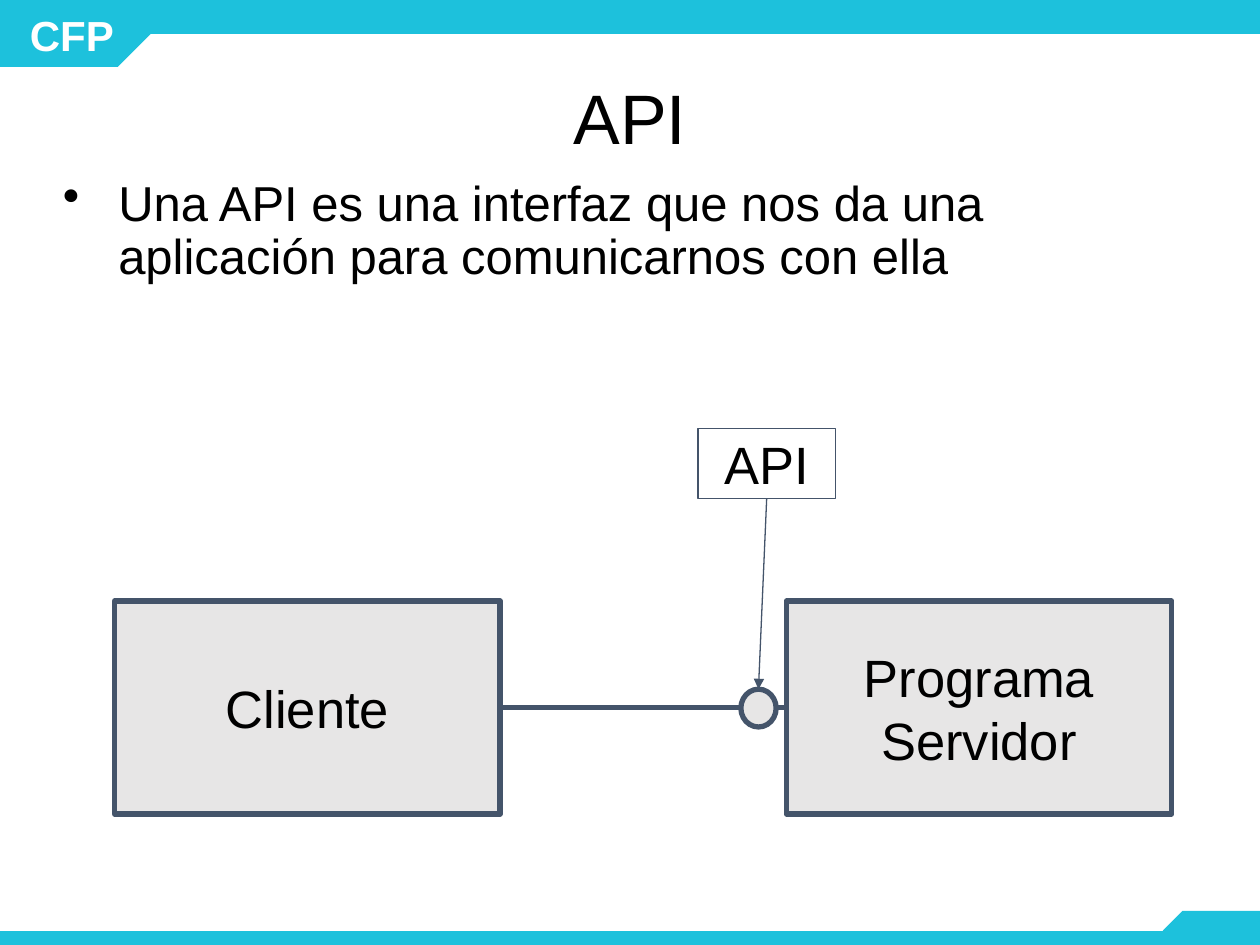
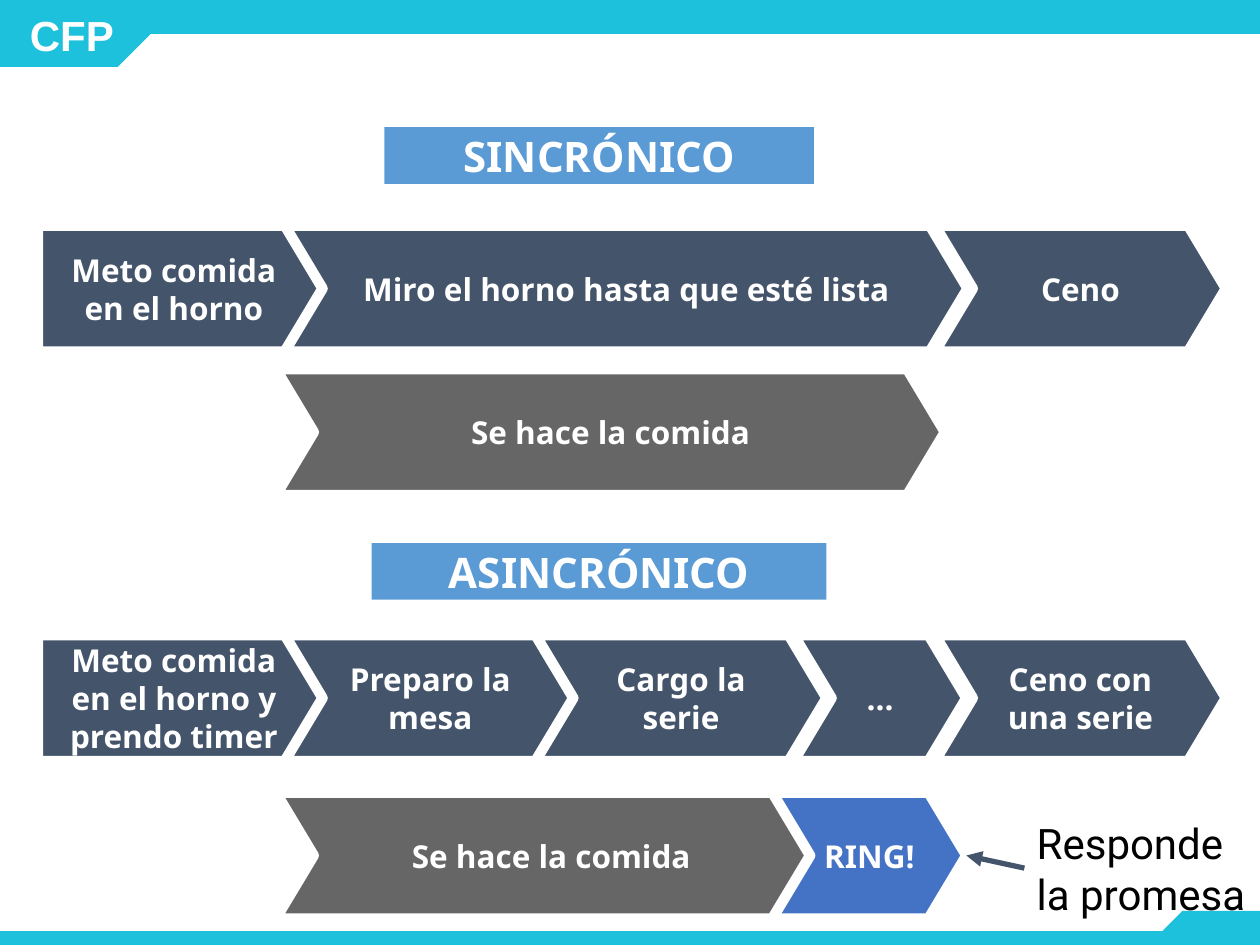
from dataclasses import dataclass
from typing import Any, Optional

from lxml.etree import SubElement
from pptx import Presentation
from pptx.dml.color import RGBColor
from pptx.enum.shapes import MSO_CONNECTOR, MSO_SHAPE
from pptx.enum.text import MSO_ANCHOR, PP_ALIGN
from pptx.oxml.ns import qn
from pptx.util import Inches, Pt

TOP, LEFT, BOTTOM, RIGHT = range(4)


@dataclass(frozen=True)
class Theme:
    brand: str = "1DC1DC"
    slate: str = "44546A"
    pale: str = "E7E6E6"
    gray: str = "666666"
    sky: str = "5B9BD5"
    alert: str = "4472C4"
    white: str = "FFFFFF"
    black: str = "000000"
    title_size: float = 40
    node_size: float = 30
    body_size: float = 28
    heading_size: float = 24
    step_size: float = 18
    thin: float = 0.75
    thick: float = 3
    gap_line: float = 6


THEME = Theme()


@dataclass(frozen=True)
class Box:
    left: float
    top: float
    width: float
    height: float

    def lengths(self) -> list:
        return [Inches(v) for v in (self.left, self.top, self.width, self.height)]


@dataclass(frozen=True)
class TextStyle:
    size: float
    color: str = THEME.black
    font: str = "Arial"
    bold: bool = False
    align: PP_ALIGN = PP_ALIGN.CENTER
    anchor: MSO_ANCHOR = MSO_ANCHOR.MIDDLE
    inset: float = 0.1
    spacing: float = 1.0


TITLE = TextStyle(THEME.title_size, inset=0.05, spacing=0.9)
BODY = TextStyle(THEME.body_size, align=PP_ALIGN.LEFT, anchor=MSO_ANCHOR.TOP,
                 inset=0.05, spacing=0.9)
NODE = TextStyle(THEME.node_size)
BADGE = TextStyle(THEME.heading_size, THEME.white, bold=True)
HEADING = TextStyle(THEME.heading_size, THEME.white, "Noto Sans", True)
STEP = TextStyle(THEME.step_size, THEME.white, "Noto Sans", True)
NOTE = TextStyle(THEME.heading_size, font="Roboto", align=PP_ALIGN.LEFT,
                 anchor=MSO_ANCHOR.TOP)


@dataclass(frozen=True)
class Step:
    text: str
    left: float
    width: float
    fill: str = THEME.slate
    preset: MSO_SHAPE = MSO_SHAPE.CHEVRON


def apply_format(target: Any, values: dict) -> None:
    for name, value in values.items():
        setattr(target, name, value)


def write(shape: Any, text: str, style: TextStyle, bullet: bool = False) -> None:
    frame = shape.text_frame
    apply_format(frame, {
        "word_wrap": True, "vertical_anchor": style.anchor,
        "margin_left": Inches(0.1), "margin_right": Inches(0.1),
        "margin_top": Inches(style.inset), "margin_bottom": Inches(style.inset)})
    paragraph = frame.paragraphs[0]
    apply_format(paragraph, {"text": text, "alignment": style.align,
                             "line_spacing": style.spacing})
    if bullet:
        properties = paragraph._p.get_or_add_pPr()
        properties.set("marL", str(Inches(0.5)))
        properties.set("indent", str(Inches(-0.44)))
        SubElement(properties, qn("a:buChar")).set("char", "•")
    font = paragraph.runs[0].font
    apply_format(font, {"name": style.font, "size": Pt(style.size), "bold": style.bold})
    font.color.rgb = RGBColor.from_string(style.color)


def add_text(slide: Any, box: Box, text: str, style: TextStyle, bullet: bool = False) -> Any:
    textbox = slide.shapes.add_textbox(*box.lengths())
    write(textbox, text, style, bullet)
    return textbox


def set_line(line: Any, color: str, width: float) -> None:
    line.color.rgb = RGBColor.from_string(color)
    line.width = Pt(width)


def add_shape(slide: Any, preset: MSO_SHAPE, box: Box, fill: Optional[str] = None,
              line: Optional[tuple[str, float]] = None, text: str = "",
              style: TextStyle = NODE) -> Any:
    shape = slide.shapes.add_shape(preset, *box.lengths())
    shape.shadow.inherit = False
    if fill:
        shape.fill.solid()
        shape.fill.fore_color.rgb = RGBColor.from_string(fill)
    else:
        shape.fill.background()
    if line:
        set_line(shape.line, *line)
    else:
        shape.line.fill.background()
    if text:
        write(shape, text, style)
    return shape


def connect(slide: Any, start: Any, start_side: int, end: Any, end_side: int,
            width: float, arrow: bool = False) -> None:
    connector = slide.shapes.add_connector(MSO_CONNECTOR.STRAIGHT, 0, 0, 0, 0)
    connector.begin_connect(start, start_side)
    connector.end_connect(end, end_side)
    set_line(connector.line, THEME.slate, width)
    if arrow:
        SubElement(connector.line._get_or_add_ln(), qn("a:tailEnd")).set("type", "triangle")
    SubElement(connector._element.spPr, qn("a:effectLst"))


def add_tab(slide: Any, box: Box, rotation: int = 0) -> None:
    """Add a mirrored band end with one cut corner."""
    tab = add_shape(slide, MSO_SHAPE.SNIP_1_RECTANGLE, box, THEME.brand)
    tab.adjustments[0] = 0.5
    tab.rotation = rotation
    tab._element.spPr.get_or_add_xfrm().set("flipH", "1")


def add_framed_slide(deck: Any) -> Any:
    """Add a blank slide with the shared bands and course badge."""
    slide = deck.slides.add_slide(deck.slide_layouts[6])
    for band in (Box(0, 7.39, 10, 0.16), Box(1.12, 0, 8.88, 0.27)):
        add_shape(slide, MSO_SHAPE.RECTANGLE, band, THEME.brand)
    add_tab(slide, Box(9.23, 7.23, 0.77, 0.31))
    add_tab(slide, Box(0, 0, 1.2, 0.53), rotation=180)
    add_text(slide, Box(0.07, 0.04, 1, 0.47), "CFP", BADGE)
    return slide


def add_steps(slide: Any, top: float, steps: list[Step]) -> list:
    shapes = []
    for step in steps:
        shape = add_shape(slide, step.preset, Box(step.left, top, step.width, 1),
                          step.fill, (THEME.white, THEME.gap_line), step.text, STEP)
        shape.adjustments[0] = 0.3
        shapes.append(shape)
    return shapes


def build_api_slide(deck: Any) -> None:
    slide = add_framed_slide(deck)
    add_text(slide, Box(0.69, 0.3, 8.62, 1.33), "API", TITLE)
    add_text(slide, Box(0.34, 1.37, 9.32, 2.23),
             "Una API es una interfaz que nos da una aplicación para comunicarnos con ella",
             BODY, bullet=True)
    outline = (THEME.slate, THEME.thick)
    client, server = (
        add_shape(slide, MSO_SHAPE.RECTANGLE, Box(left, 4.77, 3.06, 1.69),
                  THEME.pale, outline, name)
        for left, name in ((0.91, "Cliente"), (6.24, "Programa Servidor")))
    connect(slide, client, RIGHT, server, LEFT, THEME.thick)
    port = add_shape(slide, MSO_SHAPE.OVAL, Box(5.88, 5.47, 0.28, 0.3), THEME.pale, outline)
    api_label = add_shape(slide, MSO_SHAPE.RECTANGLE, Box(5.54, 3.4, 1.09, 0.56),
                          line=(THEME.slate, THEME.thin), text="API")
    connect(slide, api_label, BOTTOM, port, TOP, THEME.thin, arrow=True)


def build_timing_slide(deck: Any) -> None:
    slide = add_framed_slide(deck)
    first, second, last = 0.3, 2.26, 7.42
    cooking, usual = 2.19, 2.31
    add_steps(slide, 1.79, [
        Step("Meto comida en el horno", first, usual, preset=MSO_SHAPE.PENTAGON),
        Step("Miro el horno hasta que esté lista", second, 5.42),
        Step("Ceno", last, usual)])
    add_steps(slide, 2.93, [Step("Se hace la comida", cooking, 5.31, THEME.gray)])
    add_steps(slide, 5.04, [
        Step("Meto comida en el horno y prendo timer", first, usual,
             preset=MSO_SHAPE.PENTAGON),
        Step("Preparo la mesa", second, usual),
        Step("Ceno con una serie", last, usual),
        Step("Cargo la serie", 4.25, usual),
        Step("...", 6.3, 1.37)])
    for heading, box in (("SINCRÓNICO", Box(3.05, 1.01, 3.41, 0.45)),
                         ("ASINCRÓNICO", Box(2.95, 4.31, 3.61, 0.45))):
        add_shape(slide, MSO_SHAPE.RECTANGLE, box, THEME.sky, text=heading, style=HEADING)
    _, ring = add_steps(slide, 6.29, [
        Step("Se hace la comida", cooking, 4.37, THEME.gray),
        Step("RING!", 6.13, 1.54, THEME.alert)])
    promise = add_text(slide, Box(8.13, 6.39, 1.87, 1), "Responde la promesa", NOTE)
    connect(slide, promise, LEFT, ring, RIGHT, THEME.thick, arrow=True)


def main() -> None:
    deck = Presentation()
    apply_format(deck, {"slide_width": Inches(10), "slide_height": Inches(7.5)})
    build_api_slide(deck)
    build_timing_slide(deck)
    deck.save("out.pptx")


if __name__ == "__main__":
    main()
